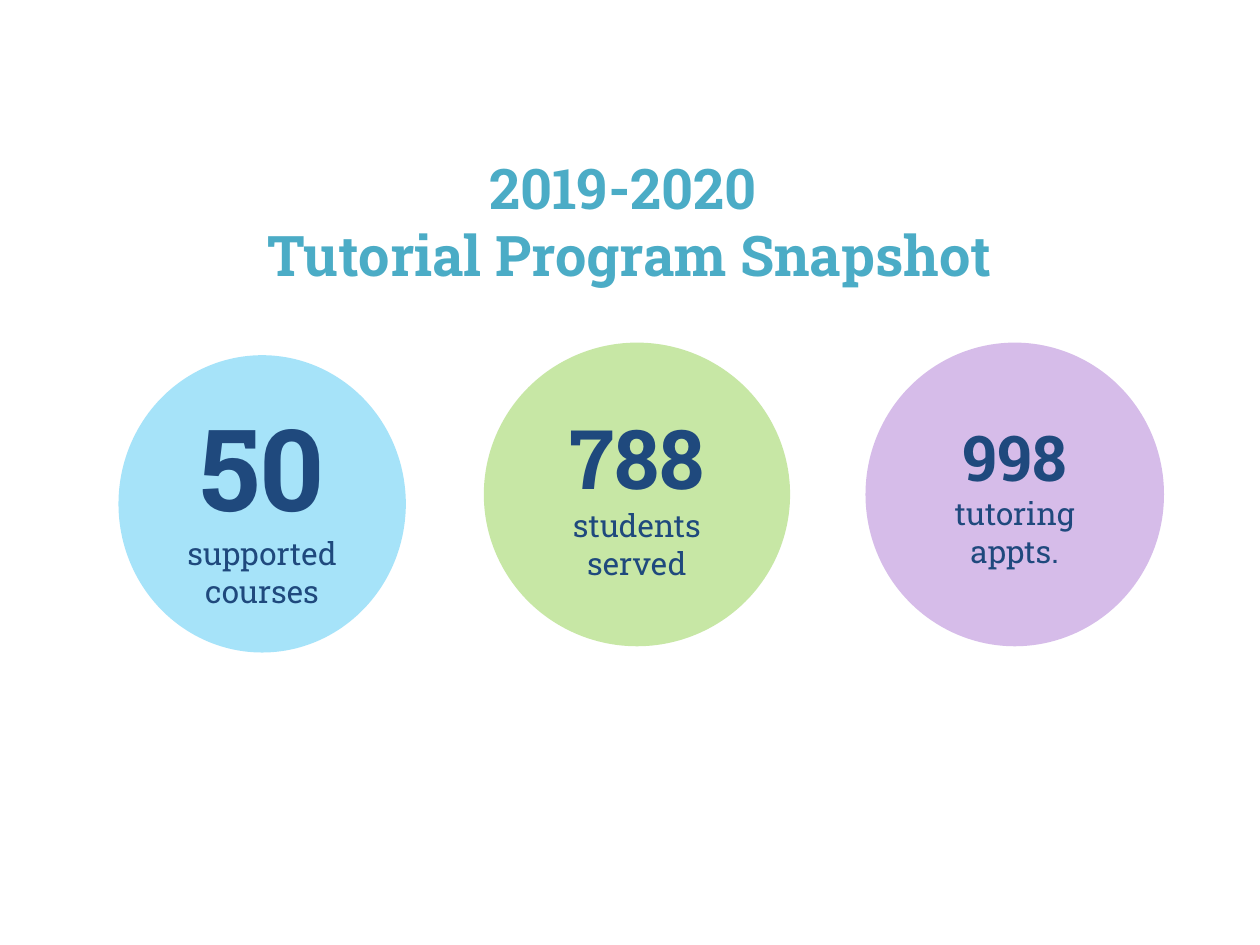
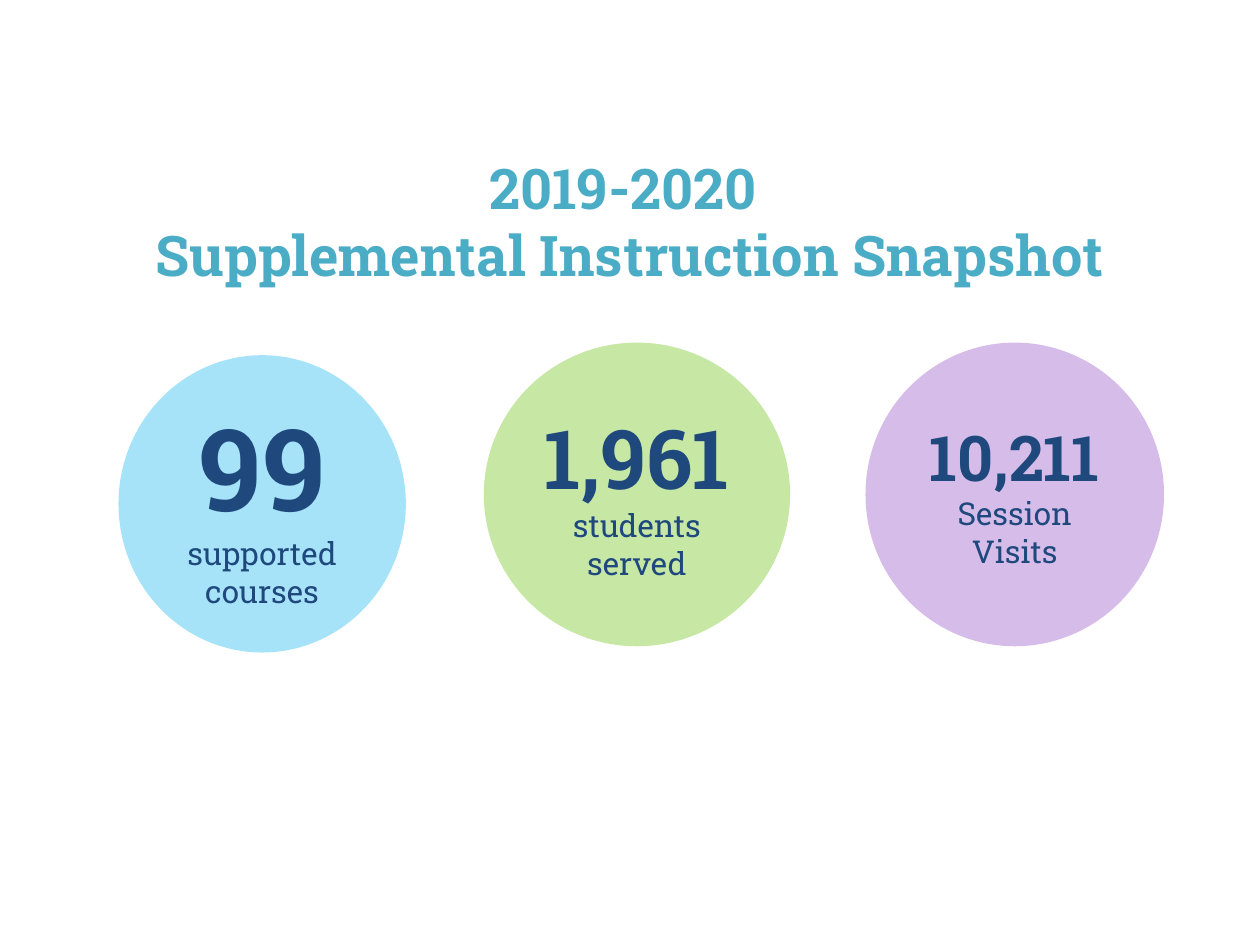
from lxml.etree import SubElement
from pptx import Presentation
from pptx.dml.color import RGBColor
from pptx.enum.shapes import MSO_SHAPE
from pptx.enum.text import MSO_ANCHOR, PP_ALIGN
from pptx.oxml.ns import qn
from pptx.util import Pt

FONT = "Roboto Slab"
TEAL = "4BACC6"
NAVY = "1F497D"

CIRCLES = [
    (67.7, 203, 164.2, 169.9, "00B0F0", 35, 65),
    (276.5, 195.8, 175, 173.5, "92D050", 51, 47),
    (494.6, 195.8, 170.6, 173.5, "B281D7", 53, 36),
]

SLIDES = [
    ("Tutorial Program Snapshot", [
        ("50", "supported courses"),
        ("788", "students served"),
        ("998", "tutoring appts."),
    ]),
    ("Supplemental Instruction Snapshot", [
        ("99", "supported courses"),
        ("1,961", "students served"),
        ("10,211", "Session Visits"),
    ]),
]


def color(target, code):
    target.rgb = RGBColor.from_string(code)


def write(shape, lines, code, inset):
    frame = shape.text_frame
    frame.word_wrap = True
    frame.vertical_anchor = MSO_ANCHOR.MIDDLE
    frame.margin_left = frame.margin_right = Pt(7.2)
    frame.margin_top = frame.margin_bottom = Pt(inset)
    frame.text = "\n".join(text for text, size, bold in lines)
    for para, (text, size, bold) in zip(frame.paragraphs, lines):
        para.alignment = PP_ALIGN.CENTER
        para.font.name = FONT
        para.font.size = Pt(size)
        para.font.bold = bold
        color(para.font.color, code)


deck = Presentation()
deck.slide_width = Pt(720)
deck.slide_height = Pt(540)

for topic, stats in SLIDES:
    slide = deck.slides.add_slide(deck.slide_layouts[6])
    title = slide.shapes.add_textbox(Pt(36), Pt(103.7), Pt(648), Pt(44.6))
    write(title, [("2019-2020 ", 32, True), (topic, 32, True)], TEAL, 3.6)

    for circle, (count, label) in zip(CIRCLES, stats):
        left, top, width, height, tint, alpha, size = circle
        disc = slide.shapes.add_shape(
            MSO_SHAPE.OVAL, Pt(left), Pt(top), Pt(width), Pt(height))
        disc.shadow.inherit = False
        disc.line.fill.background()
        disc.fill.solid()
        color(disc.fill.fore_color, tint)
        shade = disc.fill._xPr.find(qn("a:solidFill"))[0]
        SubElement(shade, qn("a:alpha"), val=str(alpha * 1000))
        write(disc, [(count, size, True), (label, 18, False)], NAVY, 7.2)

deck.save("out.pptx")
